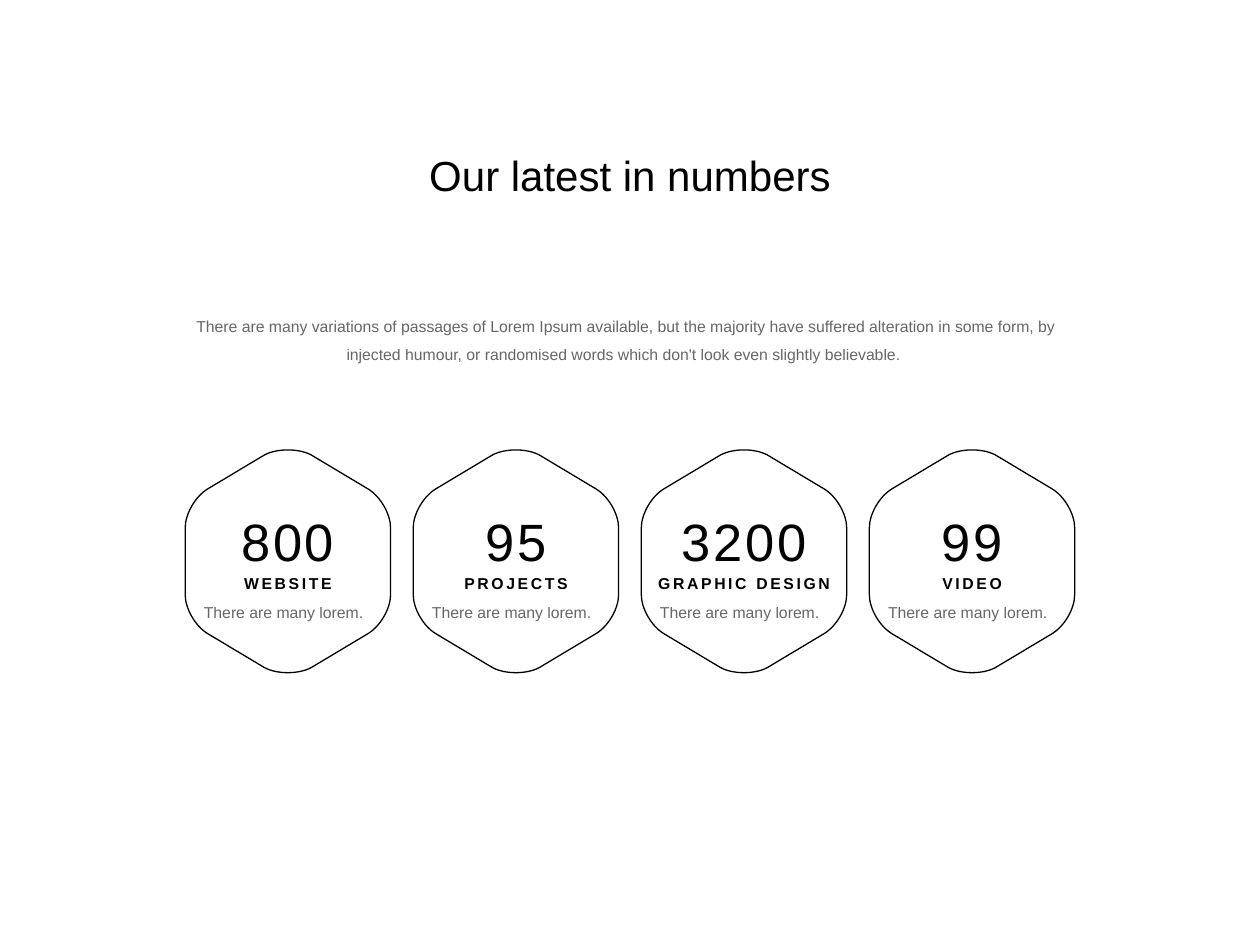
from lxml.etree import SubElement
from pptx import Presentation
from pptx.dml.color import RGBColor
from pptx.enum.text import MSO_ANCHOR, MSO_AUTO_SIZE, PP_ALIGN
from pptx.oxml.ns import qn
from pptx.util import Pt

LEFT = 105.84
CONTENT_WIDTH = 508.32
BADGE_TOP = 257.04
BADGE_WIDTH = 117.36
BADGE_HEIGHT = 127.44
SIDE_CORNER = [(0, 44.62), (0, 36.72), (5.78, 26.62), (12.98, 22.32)]
TOP_CORNER = [(45.38, 2.92), (52.58, -0.9), (64.78, -0.9), (71.98, 2.92)]
STATISTICS = [
    ("800", "WEBSITE"),
    ("95", "PROJECTS"),
    ("3200", "GRAPHIC DESIGN"),
    ("99", "VIDEO"),
]
CAPTION = "There are many lorem."
INTRODUCTION = (
    "There are many variations of passages of Lorem Ipsum available, but the majority "
    "have suffered alteration in some form, by injected humour, or randomised words "
    "which don't look even slightly believable. "
)


def color(value):
    return RGBColor.from_string(value)


def hexagon_corners():
    opposite_corner = [(BADGE_WIDTH - x, y) for x, y in reversed(SIDE_CORNER)]
    upper = [SIDE_CORNER, TOP_CORNER, opposite_corner]
    lower = [[(BADGE_WIDTH - x, BADGE_HEIGHT - y) for x, y in corner] for corner in upper]
    return upper + lower


def add_command(outline, name, points):
    command = SubElement(outline, qn(f"a:{name}"))
    for x, y in points:
        point = SubElement(command, qn("a:pt"))
        point.set("x", str(Pt(x)))
        point.set("y", str(Pt(y)))


def write_text(frame, text, *, size, line_spacing, bold=False, tracking=0, opacity=100):
    paragraph = frame.paragraphs[0]
    paragraph.alignment = PP_ALIGN.CENTER
    paragraph.line_spacing = line_spacing
    run = paragraph.add_run()
    run.text = text
    run.font.name = "Arial"
    run.font.size = Pt(size)
    run.font.bold = bold
    run.font.color.rgb = color(SlideBuilder.ink)
    properties = run.font._element
    if tracking:
        properties.set("spc", str(int(tracking * 100)))
    if opacity < 100:
        fill_color = properties.find(qn("a:solidFill")).find(qn("a:srgbClr"))
        SubElement(fill_color, qn("a:alpha")).set("val", str(opacity * 1000))


class SlideBuilder:
    ink = "000000"
    paper = "FFFFFF"
    note_style = {"size": 9, "opacity": 60}
    number_style = {"size": 30, "line_spacing": 0.8, "tracking": 1.5}
    label_style = {"size": 9, "line_spacing": 0.8, "tracking": 1.5, "bold": True}

    def __init__(self, presentation):
        self.slide = presentation.slides.add_slide(presentation.slide_layouts[5])
        background = self.slide.background.fill
        background.solid()
        background.fore_color.rgb = color(self.paper)

    def title(self, text, left, top, width, height):
        shape = self.slide.shapes.title
        shape.left, shape.top = Pt(left), Pt(top)
        shape.width, shape.height = Pt(width), Pt(height)
        shape.text_frame.vertical_anchor = MSO_ANCHOR.MIDDLE
        write_text(shape.text_frame, text, size=24, line_spacing=0.9)

    def text(self, text, left, top, width, height, right_inset=0, **style):
        shape = self.slide.shapes.add_textbox(Pt(left), Pt(top), Pt(width), Pt(height))
        frame = shape.text_frame
        frame.word_wrap = True
        frame.auto_size = MSO_AUTO_SIZE.SHAPE_TO_FIT_TEXT
        frame.margin_left = frame.margin_top = frame.margin_bottom = 0
        frame.margin_right = Pt(right_inset)
        write_text(frame, text, **style)

    def hexagon(self, left, top):
        right, bottom = left + BADGE_WIDTH, top + BADGE_HEIGHT
        builder = self.slide.shapes.build_freeform(Pt(left), Pt(top))
        builder.add_line_segments(
            [(Pt(right), Pt(top)), (Pt(right), Pt(bottom)), (Pt(left), Pt(bottom))]
        )
        shape = builder.convert_to_shape()
        outline = next(shape._element.iter(qn("a:path")))
        for command in list(outline):
            outline.remove(command)
        for index, corner in enumerate(hexagon_corners()):
            add_command(outline, "lnTo" if index else "moveTo", corner[:1])
            add_command(outline, "cubicBezTo", corner[1:])
        SubElement(outline, qn("a:close"))
        shape.shadow.inherit = False
        shape.fill.background()
        shape.line.color.rgb = color(self.ink)
        shape.line.width = Pt(0.75)

    def statistic(self, number, label, left):
        self.text(number, left, 297.7, BADGE_WIDTH, 29.5, **self.number_style)
        self.text(CAPTION, left + 8.64, 342.4, 100.08, 12.24, right_inset=5.04,
                  line_spacing=1.2, **self.note_style)
        self.text(label, left, 329.76, BADGE_WIDTH, 8.64, **self.label_style)


def main():
    presentation = Presentation()
    presentation.slide_width = Pt(720)
    presentation.slide_height = Pt(540)
    builder = SlideBuilder(presentation)
    builder.title("Our latest in numbers", LEFT, 82.08, CONTENT_WIDTH, 38.88)
    pitch = (CONTENT_WIDTH - BADGE_WIDTH) / (len(STATISTICS) - 1)
    positions = [LEFT + index * pitch for index in range(len(STATISTICS))]
    for left in positions:
        builder.hexagon(left, BADGE_TOP)
    for left, (number, label) in zip(positions, STATISTICS):
        builder.statistic(number, label, left)
    builder.text(INTRODUCTION, LEFT, 175.4, CONTENT_WIDTH, 30.96, right_inset=5.04,
                 line_spacing=1.5, **builder.note_style)
    presentation.save("out.pptx")


if __name__ == "__main__":
    main()
